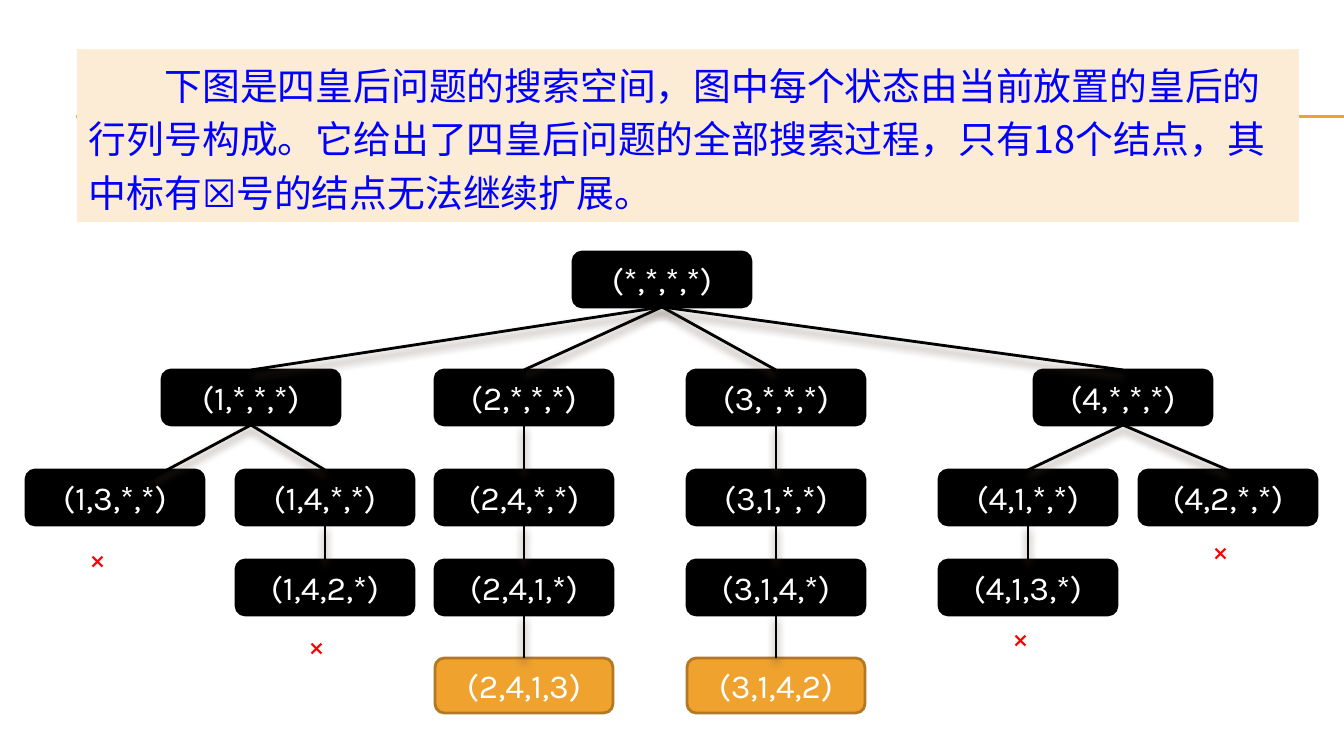
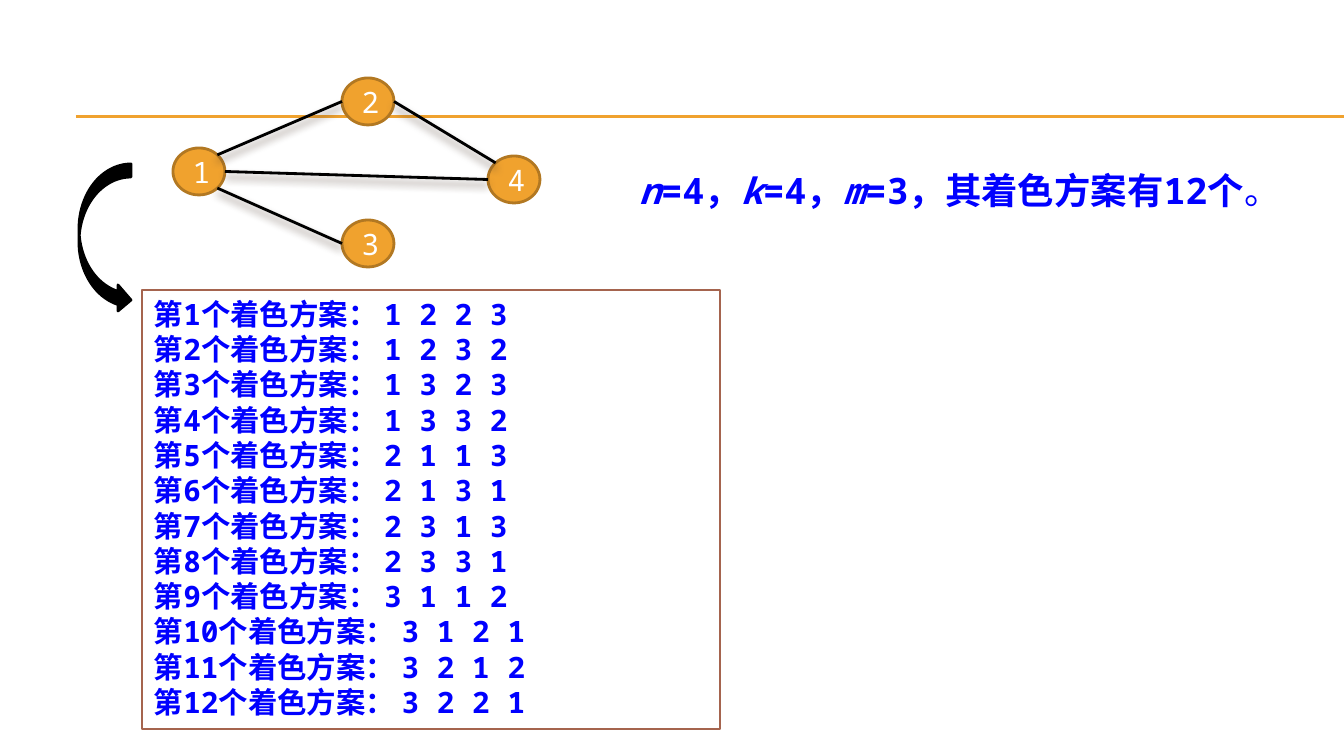
"""Build two slides on the four-queens search tree and graph colouring."""
from dataclasses import dataclass
from math import cos, radians, sin
from typing import Optional

from lxml import etree
from pptx import Presentation
from pptx.dml.color import RGBColor
from pptx.enum.shapes import MSO_CONNECTOR, MSO_SHAPE
from pptx.enum.text import MSO_ANCHOR, PP_ALIGN
from pptx.oxml.ns import qn
from pptx.util import Emu, Pt

LINE = MSO_CONNECTOR.STRAIGHT
RECT = MSO_SHAPE.RECTANGLE
ROUND = MSO_SHAPE.ROUNDED_RECTANGLE
OVAL = MSO_SHAPE.OVAL
CURVE = MSO_SHAPE.CURVED_RIGHT_ARROW
TOP, MIDDLE = MSO_ANCHOR.TOP, MSO_ANCHOR.MIDDLE
LEFT, CENTER = PP_ALIGN.LEFT, PP_ALIGN.CENTER

WIDE, HIGH = 1344, 756
SCALE = 12192000 / WIDE

BLACK = RGBColor(0x00, 0x00, 0x00)
WHITE = RGBColor(0xFF, 0xFF, 0xFF)
BLUE = RGBColor(0x00, 0x00, 0xFF)
RED = RGBColor(0xFF, 0x00, 0x00)
GOLD = RGBColor(0xF0, 0xA2, 0x2E)
BRONZE = RGBColor(0xB2, 0x78, 0x22)
BROWN = RGBColor(0xA5, 0x64, 0x4E)
CREAM = RGBColor(0xFC, 0xEC, 0xD5)
SHADE = RGBColor(0x4E, 0x3B, 0x30)

KARLA, MONO, HAN = "Karla", "Noto Sans Mono", "Noto Sans CJK SC"


@dataclass(frozen=True)
class Style:
    font: str
    size: int
    color: RGBColor
    bold: bool = False


@dataclass(frozen=True)
class Node:
    label: str
    left: int
    row: int
    above: str = ""
    end: Optional[tuple[int, int]] = None


@dataclass(frozen=True)
class Edge:
    start: int
    stop: int
    leave: int
    enter: int


INTRO = Style(HAN, 27, BLUE)
STATE = Style(KARLA, 24, WHITE)
CROSS = Style(KARLA, 21, RED)
DIGIT = Style(MONO, 21, WHITE)
CLAIM = Style(MONO, 26, BLUE, True)
PLAN = Style(MONO, 21, BLUE, True)

NODE_W, NODE_H = 178, 55
ROWS = (252, 370, 470, 560, 658)
TREE = (
    Node("(*,*,*,*)", 573, 0),
    Node("(1,*,*,*)", 162, 1, "(*,*,*,*)"),
    Node("(1,3,*,*)", 26, 2, "(1,*,*,*)", (152, 478)),
    Node("(1,4,*,*)", 236, 2, "(1,*,*,*)"),
    Node("(1,4,2,*)", 236, 3, "(1,4,*,*)"),
    Node("(2,*,*,*)", 435, 1, "(*,*,*,*)"),
    Node("(2,4,*,*)", 435, 2, "(2,*,*,*)"),
    Node("(2,4,1,*)", 435, 3, "(2,4,*,*)"),
    Node("(2,4,1,3)", 435, 4, "(2,4,1,*)"),
    Node("(3,*,*,*)", 687, 1, "(*,*,*,*)"),
    Node("(3,1,*,*)", 687, 2, "(3,*,*,*)"),
    Node("(3,1,4,*)", 687, 3, "(3,1,*,*)"),
    Node("(3,1,4,2)", 687, 4, "(3,1,4,*)"),
    Node("(4,*,*,*)", 1034, 1, "(*,*,*,*)"),
    Node("(4,1,*,*)", 939, 2, "(4,*,*,*)"),
    Node("(4,1,3,*)", 939, 3, "(4,1,*,*)"),
    Node("(4,2,*,*)", 1139, 2, "(4,*,*,*)"),
)
CROSSES = ((90, 540), (309, 627), (1013, 619), (1213, 532))

BALL_W, BALL_H = 52, 47
BALLS = {1: (173, 148), 2: (342, 78), 3: (342, 220), 4: (488, 156)}
EDGES = (Edge(1, 2, -45, 180), Edge(1, 3, 45, 180),
         Edge(1, 4, 0, 180), Edge(2, 4, 0, -135))
PLANS = ("1 2 2 3", "1 2 3 2", "1 3 2 3", "1 3 3 2", "2 1 1 3", "2 1 3 1",
         "2 3 1 3", "2 3 3 1", "3 1 1 2", "3 1 2 1", "3 2 1 2", "3 2 2 1")


def px(value: float) -> Emu:
    return Emu(round(value * SCALE))


def pad(frame, side: int, edge: int) -> None:
    frame.word_wrap = True
    frame.margin_left = frame.margin_right = px(side)
    frame.margin_top = frame.margin_bottom = px(edge)


def dress(run, style: Style) -> None:
    font = run.font
    font.name, font.size, font.bold = style.font, Pt(style.size), style.bold
    font.color.rgb = style.color
    props = run._r.get_or_add_rPr()
    props.set("lang", "zh-CN")
    etree.SubElement(props, qn("a:ea")).set("typeface", HAN)


def write(frame, text: str, style: Style, align=LEFT, anchor=TOP) -> None:
    frame.text = text
    frame.vertical_anchor = anchor
    for para in frame.paragraphs:
        para.alignment = align
        for run in para.runs:
            dress(run, style)


def block(slide, kind, box: tuple[int, int, int, int], fill: RGBColor,
          line: Optional[RGBColor] = None):
    shape = slide.shapes.add_shape(kind, *map(px, box))
    shape.shadow.inherit = False
    shape.fill.solid()
    shape.fill.fore_color.rgb = fill
    if line is None:
        shape.line.fill.background()
    else:
        shape.line.color.rgb = line
        shape.line.width = Pt(2)
    pad(shape.text_frame, 12, 6)
    return shape


def label(slide, box: tuple[int, int, int, int], side: int, edge: int):
    frame = slide.shapes.add_textbox(*map(px, box)).text_frame
    pad(frame, side, edge)
    return frame


def link(slide, start: tuple[float, float], stop: tuple[float, float],
         color: RGBColor = BLACK, width: float = 2, shade: bool = True):
    line = slide.shapes.add_connector(LINE, *map(px, (*start, *stop)))
    line.line.color.rgb = color
    line.line.width = Pt(width)
    effects = etree.SubElement(line._element.spPr, qn("a:effectLst"))
    if shade:
        cast = etree.SubElement(
            effects, qn("a:outerShdw"), blurRad=str(Pt(6)), dist=str(Pt(4)),
            dir="5400000", rotWithShape="0")
        tint = etree.SubElement(cast, qn("a:srgbClr"), val=str(SHADE))
        etree.SubElement(tint, qn("a:alpha"), val="60000")
    return line


def start_slide(deck):
    slide = deck.slides.add_slide(deck.slide_layouts[6])
    for y in (116, 117):
        link(slide, (76, y), (WIDE, y), GOLD, 0.75, False)
    return slide


def draw_tree(slide) -> None:
    shapes = {}
    for node in TREE:
        done = "*" not in node.label
        fill, line = (GOLD, BRONZE) if done else (BLACK, BLACK)
        box = (node.left, ROWS[node.row], NODE_W, NODE_H)
        shape = block(slide, ROUND, box, fill, line)
        write(shape.text_frame, node.label, STATE, CENTER, MIDDLE)
        shapes[node.label] = shape
    for left, top in CROSSES:
        write(label(slide, (left, top, 42, 35), 0, 0), "×", CROSS)
    spots = {node.label: node for node in TREE}
    for node in TREE:
        if not node.above:
            continue
        above = spots[node.above]
        start = (above.left + NODE_W / 2, ROWS[above.row] + NODE_H)
        stop = node.end or (node.left + NODE_W / 2, ROWS[node.row])
        line = link(slide, start, stop)
        line.begin_connect(shapes[node.above], 2)
        if node.end is None:
            line.end_connect(shapes[node.label], 0)


def queens(deck) -> None:
    slide = start_slide(deck)
    frame = block(slide, RECT, (77, 49, 1222, 173), CREAM).text_frame
    write(frame, "下图是四皇后问题的搜索空间，图中每个状态由当前放置的皇后的行列号构成。"
          "它给出了四皇后问题的全部搜索过程，只有18个结点，"
          "其中标有☒号的结点无法继续扩展。", INTRO)
    para = frame.paragraphs[0]
    para.line_spacing = Pt(38)
    para._p.get_or_add_pPr().set("indent", str(Pt(2 * INTRO.size)))
    draw_tree(slide)


def rim(ball: int, angle: int) -> tuple[float, float]:
    left, top = BALLS[ball]
    turn = radians(angle)
    return (left + BALL_W / 2 * (1 + cos(turn)),
            top + BALL_H / 2 * (1 + sin(turn)))


def colours(deck) -> None:
    slide = start_slide(deck)
    for ball, spot in BALLS.items():
        shape = block(slide, OVAL, (*spot, BALL_W, BALL_H), GOLD, BRONZE)
        write(shape.text_frame, str(ball), DIGIT, CENTER, MIDDLE)
    for edge in EDGES:
        link(slide, rim(edge.start, edge.leave), rim(edge.stop, edge.enter))

    para = label(slide, (627, 162, 693, 56), 12, 6).paragraphs[0]
    for text in ("n", "=4，", "k", "=4，", "m", "=3，其着色方案有12个", "。"):
        run = para.add_run()
        run.text = text
        dress(run, CLAIM)
        run.font.italic = text in ("n", "k", "m")
        run.font.bold = text != "。"

    frame = block(slide, RECT, (142, 290, 578, 439), WHITE, BROWN).text_frame
    lines = (f"第{n}个着色方案： {plan}" for n, plan in enumerate(PLANS, 1))
    write(frame, "\n".join(lines), PLAN)
    block(slide, CURVE, (79, 164, 52, 149), BLACK, BLACK)


def main() -> None:
    deck = Presentation()
    deck.slide_width, deck.slide_height = px(WIDE), px(HIGH)
    queens(deck)
    colours(deck)
    deck.save("out.pptx")


if __name__ == "__main__":
    main()
